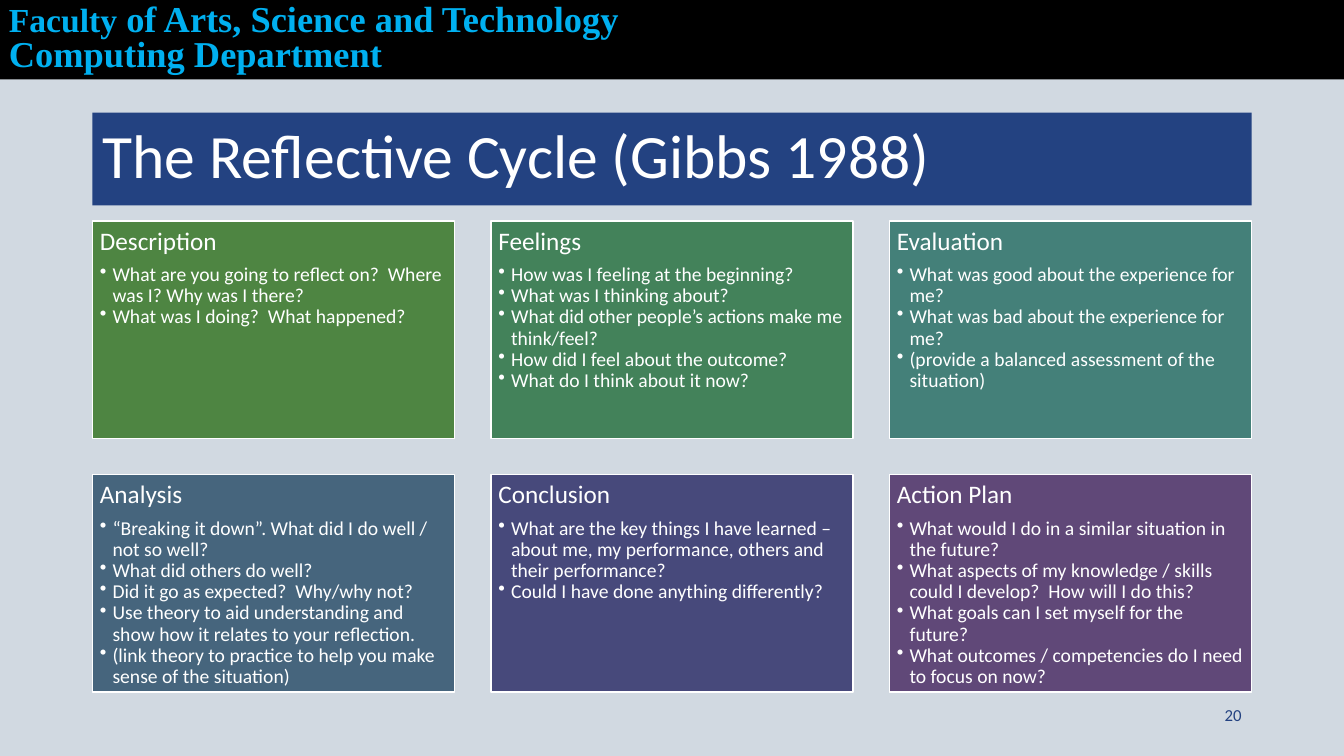
import pptx
import pptx.util
import pptx.dml.color
import pptx.enum.shapes
import pptx.enum.text
import pptx.oxml.ns
import lxml.etree

Pt = pptx.util.Pt
RGBColor = pptx.dml.color.RGBColor
ALIGN = pptx.enum.text.PP_ALIGN
ANCHOR = pptx.enum.text.MSO_ANCHOR
RECT = pptx.enum.shapes.MSO_SHAPE.RECTANGLE

PAGE = RGBColor(0xD1, 0xD9, 0xE1)
BLACK = RGBColor(0, 0, 0)
WHITE = RGBColor(0xFF, 0xFF, 0xFF)
NAVY = RGBColor(0x23, 0x42, 0x81)
CYAN = RGBColor(0x00, 0xB0, 0xF0)
GREEN = RGBColor(0x4E, 0x85, 0x42)
JADE = RGBColor(0x43, 0x82, 0x5A)
TEAL = RGBColor(0x44, 0x80, 0x79)
STEEL = RGBColor(0x46, 0x65, 0x7D)
INDIGO = RGBColor(0x47, 0x49, 0x7B)
PLUM = RGBColor(0x60, 0x48, 0x78)

TITLE = "The Reflective Cycle (Gibbs 1988)"
NUMBER = "20"
BANNER = [
    [("Faculty", 24), (" of Arts, Science and Technology", 26)],
    [("Computing Department", 26)],
]
STAGES = [
    ("Description", GREEN, [
        "What are you going to reflect on?  Where was I? Why was I there?",
        "What was I doing?  What happened?",
    ]),
    ("Feelings", JADE, [
        "How was I feeling at the beginning?",
        "What was I thinking about?",
        "What did other people’s actions make me think/feel?",
        "How did I feel about the outcome?",
        "What do I think about it now?",
    ]),
    ("Evaluation", TEAL, [
        "What was good about the experience for me?",
        "What was bad about the experience for me?",
        "(provide a balanced assessment of the situation)",
    ]),
    ("Analysis", STEEL, [
        "“Breaking it down”. What did I do well / not so well?",
        "What did others do well?",
        "Did it go as expected?  Why/why not?",
        "Use theory to aid understanding and show how it relates to your reflection.",
        "(link theory to practice to help you make sense of the situation)",
    ]),
    ("Conclusion", INDIGO, [
        "What are the key things I have learned –about me, my performance, "
        "others and their performance?",
        "Could I have done anything differently?",
    ]),
    ("Action Plan", PLUM, [
        "What would I do in a similar situation in the future?",
        "What aspects of my knowledge / skills could I develop?  How will I do this?",
        "What goals can I set myself for the future?",
        "What outcomes / competencies do I need to focus on now?",
    ]),
]

LEFT, WIDTH = 66, 828
COLS, GAP = 3, 25.9
CARD_W = (WIDTH - (COLS - 1) * GAP) / COLS
CARD_H = 155.3
CARD_TOP = 157.8


def style(para, size, color, align=ALIGN.LEFT, spacing=0.9):
    para.alignment = align
    para.line_spacing = spacing
    para.font.name = "Calibri"
    para.font.size = Pt(size)
    para.font.color.rgb = color


def add_bullet(para):
    props = para._p.get_or_add_pPr()
    props.set("marL", str(Pt(9)))
    props.set("indent", str(Pt(-9)))
    mark = lxml.etree.SubElement(props, pptx.oxml.ns.qn("a:buChar"))
    mark.set("char", "•")


def add_box(slide, color, *place):
    box = slide.shapes.add_shape(RECT, *map(Pt, place))
    box.shadow.inherit = False
    box.fill.solid()
    box.fill.fore_color.rgb = color
    box.line.fill.background()
    return box


def add_text(slide, *place):
    frame = slide.shapes.add_textbox(*map(Pt, place)).text_frame
    frame.word_wrap = True
    return frame


def add_banner(slide):
    add_box(slide, BLACK, 0, 0, 960, 56.7)
    frame = add_text(slide, -0.7, 0, 494, 64)
    for i, parts in enumerate(BANNER):
        para = frame.add_paragraph() if i else frame.paragraphs[0]
        para.line_spacing = 0.8
        para.font.name = "Times New Roman"
        para.font.bold = True
        para.font.color.rgb = CYAN
        for words, size in parts:
            run = para.add_run()
            run.text = words
            run.font.name = "Times New Roman"
            run.font.bold = True
            run.font.color.rgb = CYAN
            run.font.size = Pt(size)


def add_title(slide):
    title = slide.shapes.title
    title.left, title.top = Pt(LEFT), Pt(80.5)
    title.width, title.height = Pt(WIDTH), Pt(66.2)
    title.fill.solid()
    title.fill.fore_color.rgb = NAVY
    frame = title.text_frame
    frame.text = TITLE
    frame.word_wrap = True
    frame.auto_size = pptx.enum.text.MSO_AUTO_SIZE.NONE
    frame.vertical_anchor = ANCHOR.MIDDLE
    style(frame.paragraphs[0], 44, WHITE)


def add_card(slide, index, head, color, points):
    row, col = divmod(index, COLS)
    box = add_box(slide, color, LEFT + col * (CARD_W + GAP),
                  CARD_TOP + row * (CARD_H + GAP), CARD_W, CARD_H)
    box.line.color.rgb = WHITE
    box.line.width = Pt(1)
    frame = box.text_frame
    frame.word_wrap = True
    frame.vertical_anchor = ANCHOR.TOP
    frame.margin_left = frame.margin_right = Pt(5.4)
    frame.margin_top = frame.margin_bottom = Pt(5.4)
    para = frame.paragraphs[0]
    para.text = head
    style(para, 18, WHITE)
    para.space_after = Pt(6.3)
    for point in points:
        para = frame.add_paragraph()
        para.text = point
        para.level = 1
        style(para, 14, WHITE)
        add_bullet(para)


def main():
    deck = pptx.Presentation()
    deck.slide_width, deck.slide_height = Pt(960), Pt(540)
    slide = deck.slides.add_slide(deck.slide_layouts[5])
    slide.background.fill.solid()
    slide.background.fill.fore_color.rgb = PAGE
    add_banner(slide)
    add_title(slide)
    for index, stage in enumerate(STAGES):
        add_card(slide, index, *stage)
    frame = add_text(slide, 678, 496, 216, 28.8)
    frame.text = NUMBER
    frame.vertical_anchor = ANCHOR.MIDDLE
    style(frame.paragraphs[0], 12, NAVY, ALIGN.RIGHT, 1.0)
    deck.save("out.pptx")


if __name__ == "__main__":
    main()
